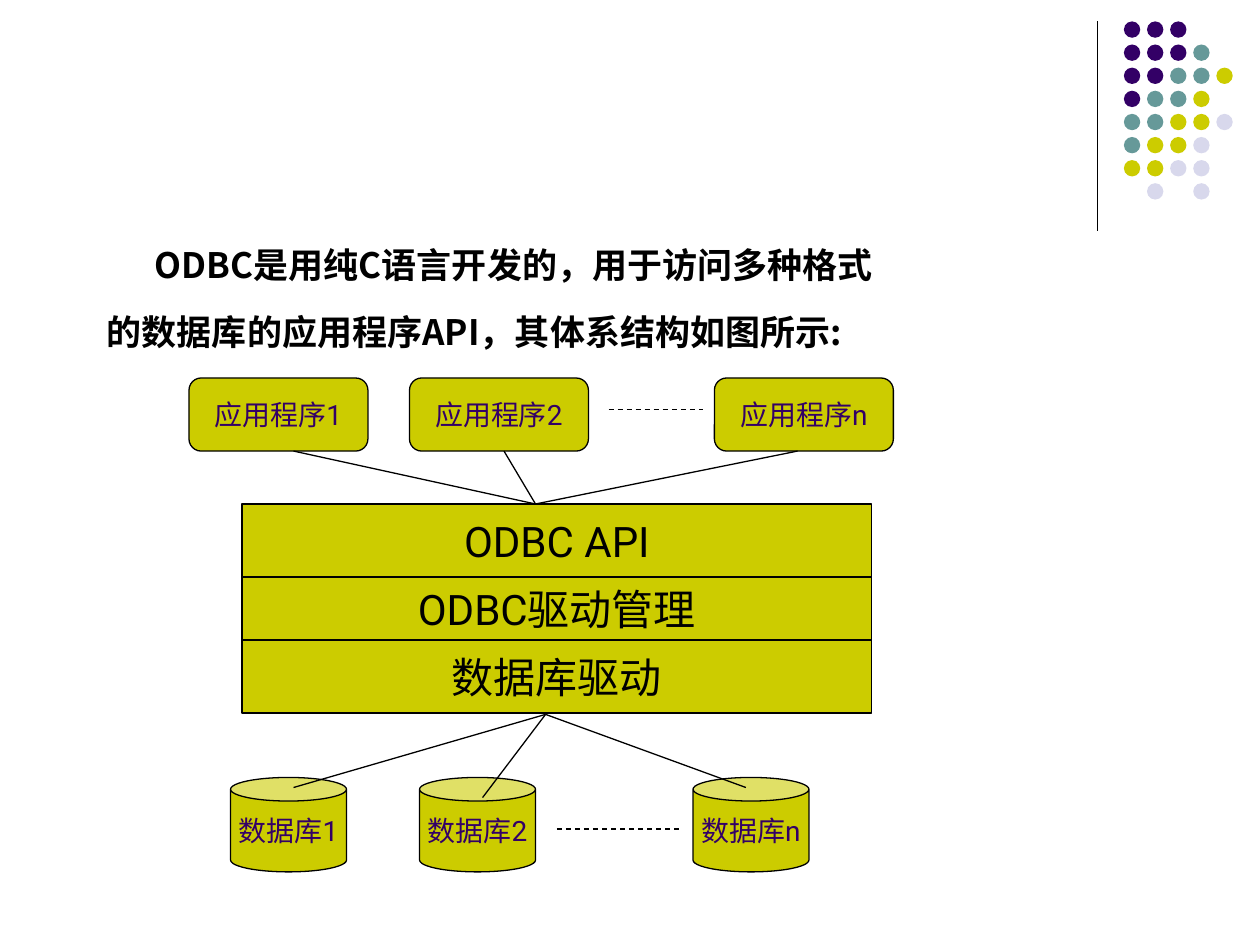
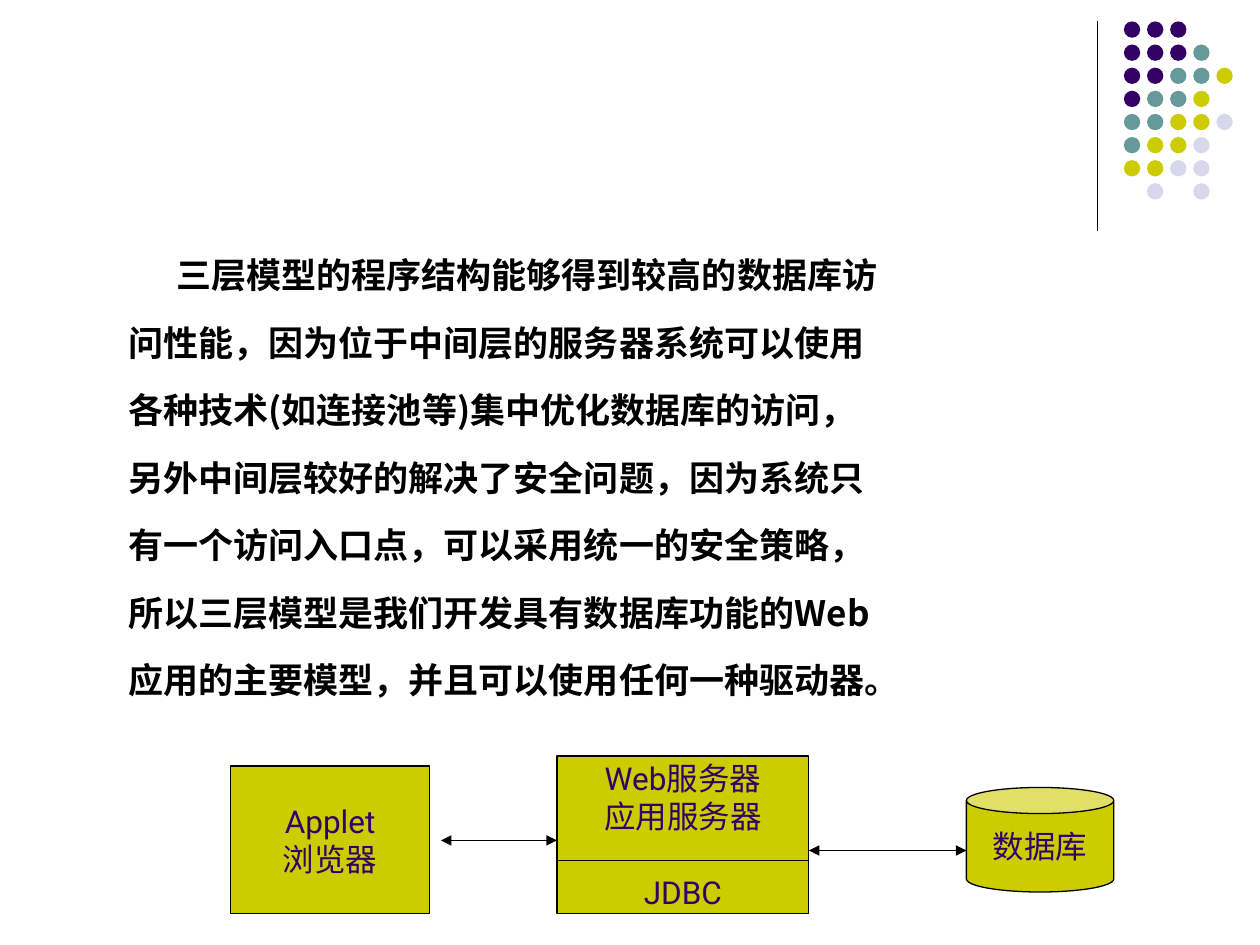
from lxml import etree
from pptx import Presentation
from pptx.dml.color import RGBColor
from pptx.enum.dml import MSO_LINE
from pptx.enum.shapes import MSO_CONNECTOR, MSO_SHAPE
from pptx.enum.text import MSO_ANCHOR, PP_ALIGN
from pptx.oxml.ns import qn
from pptx.util import Inches, Pt

CAN, RECT, ROUND = MSO_SHAPE.CAN, MSO_SHAPE.RECTANGLE, MSO_SHAPE.ROUNDED_RECTANGLE
DOT, STRAIGHT, DASH = MSO_SHAPE.OVAL, MSO_CONNECTOR.STRAIGHT, MSO_LINE.DASH
CENTER, JUSTIFY = PP_ALIGN.CENTER, PP_ALIGN.JUSTIFY
TOP, MIDDLE = MSO_ANCHOR.TOP, MSO_ANCHOR.MIDDLE

BLACK, PURPLE, TEAL, OLIVE, PALE = "000000", "330066", "669999", "CCCC00", "D8D8EC"
BODY_FONT, DIAGRAM_FONT = "Noto Sans CJK SC", "Roboto"
rgb = RGBColor.from_string


def write_text(frame, lines, size, color, font=DIAGRAM_FONT, bold=False, align=CENTER,
               anchor=MIDDLE, wrap=False, before=0, spacing=None):
    """Fill the frame with one paragraph per line."""
    frame.word_wrap = wrap
    frame.vertical_anchor = anchor
    for number, line in enumerate(lines):
        paragraph = frame.add_paragraph() if number else frame.paragraphs[0]
        paragraph.alignment = align
        paragraph.space_before = Pt(before)
        if spacing:
            paragraph.line_spacing = Pt(spacing)
        run = paragraph.add_run()
        run.text = line
        run.font.name = font
        run.font.size = Pt(size)
        run.font.bold = bold
        run.font.color.rgb = rgb(color)
        etree.SubElement(run.font._element, qn("a:ea"), typeface=font)


deck = Presentation()
deck.slide_width, deck.slide_height = Inches(10), Inches(7.5)
odbc_slide, three_tier_slide = [deck.slides.add_slide(deck.slide_layouts[6]) for _ in range(2)]

# Dot pattern in the top right corner: one letter per dot, one string per row
dot_colors = {"P": PURPLE, "T": TEAL, "O": OLIVE, "L": PALE}
dot_rows = ["PPP", "PPPT", "PPTTO", "PTTO", "TTOOL", "TOOL", "OOLL", ".L.L"]
dot_pitch, dot_size = 0.1835, 0.13
for slide in deck.slides:
    for row, letters in enumerate(dot_rows):
        for column, letter in enumerate(letters):
            if letter == ".":
                continue
            dot = slide.shapes.add_shape(
                DOT, Inches(8.92 + column * dot_pitch), Inches(0.17 + row * dot_pitch),
                Inches(dot_size), Inches(dot_size))
            dot.shadow.inherit = False
            dot.fill.solid()
            dot.fill.fore_color.rgb = rgb(dot_colors[letter])
            dot.line.fill.background()

# Body text
bodies = [
    (odbc_slide, 0.75, 1.75, 8.67, 4.83, [
        "ODBC是用纯C语言开发的，用于访问多种格式",
        "的数据库的应用程序API，其体系结构如图所示:"]),
    (three_tier_slide, 0.92, 1.83, 8.5, 5.33, [
        "三层模型的程序结构能够得到较高的数据库访",
        "问性能，因为位于中间层的服务器系统可以使用",
        "各种技术(如连接池等)集中优化数据库的访问，",
        "另外中间层较好的解决了安全问题，因为系统只",
        "有一个访问入口点，可以采用统一的安全策略，",
        "所以三层模型是我们开发具有数据库功能的Web",
        "应用的主要模型，并且可以使用任何一种驱动器。"]),
]
for slide, left, top, width, height, lines in bodies:
    body = slide.shapes.add_textbox(Inches(left), Inches(top), Inches(width), Inches(height))
    write_text(body.text_frame, lines, 20, BLACK, font=BODY_FONT, bold=True, align=JUSTIFY,
               anchor=TOP, wrap=True, before=5, spacing=33.6)
    first_line = body.text_frame.paragraphs[0]._p.get_or_add_pPr()
    first_line.set("indent", str(Inches(0.38)))

# Diagram boxes: slide, outline, left, top, width, height, lines, size, colour
boxes = [
    (odbc_slide, RECT, 1.92, 5.08, 5, 0.58, ["数据库驱动"], 24, BLACK),
    (odbc_slide, RECT, 1.92, 4.58, 5, 0.5, ["ODBC驱动管理"], 24, BLACK),
    (odbc_slide, RECT, 1.92, 4, 5, 0.58, ["ODBC API"], 24, BLACK),
    (three_tier_slide, RECT, 1.83, 6.08, 1.58, 1.17, ["Applet", "浏览器"], 18, PURPLE),
    (three_tier_slide, RECT, 4.42, 6, 2, 1.25, ["Web服务器", "应用服务器", "JDBC"], 18, PURPLE),
    (three_tier_slide, CAN, 7.67, 6.25, 1.17, 0.83, ["数据库"], 18, PURPLE),
]
for suffix, database_left, application_left in [("1", 1.83, 1.5), ("2", 3.33, 3.25),
                                                ("n", 5.5, 5.67)]:
    boxes += [
        (odbc_slide, CAN, database_left, 6.17, 0.92, 0.75, ["数据库" + suffix], 16, PURPLE),
        (odbc_slide, ROUND, application_left, 3, 1.42, 0.58, ["应用程序" + suffix], 16, PURPLE),
    ]
for slide, outline, left, top, width, height, lines, size, color in boxes:
    box = slide.shapes.add_shape(outline, Inches(left), Inches(top), Inches(width), Inches(height))
    box.shadow.inherit = False
    box.fill.solid()
    box.fill.fore_color.rgb = rgb(OLIVE)
    box.line.color.rgb = rgb(BLACK)
    box.line.width = Pt(0.75)
    write_text(box.text_frame, lines, size, color)
    if lines[-1] == "JDBC":
        box.text_frame.paragraphs[-1].space_before = Pt(22)

# Lines: slide, start, end, dashed, arrowheads at both ends
links = [(slide, (8.71, 0.17), (8.71, 1.83), False, False) for slide in deck.slides]
links += [(odbc_slide, (4.33, 5.67), database, False, False)
          for database in [(2.33, 6.25), (3.83, 6.33), (5.92, 6.25)]]
links += [(odbc_slide, (application_x, 3.58), (4.25, 4), False, False)
          for application_x in (2.33, 4, 6.33)]
links += [
    (odbc_slide, (4.42, 6.58), (5.42, 6.58), True, False),
    (odbc_slide, (4.83, 3.25), (5.58, 3.25), True, False),
    (three_tier_slide, (4.42, 6.83), (6.42, 6.83), False, False),
    (three_tier_slide, (3.5, 6.67), (4.42, 6.67), False, True),
    (three_tier_slide, (6.42, 6.75), (7.67, 6.75), False, True),
]
for slide, start, end, dashed, arrows in links:
    link = slide.shapes.add_connector(STRAIGHT, *[Inches(value) for value in start + end])
    link.line.color.rgb = rgb(BLACK)
    link.line.width = Pt(0.75)
    if dashed:
        link.line.dash_style = DASH
    properties = link._element.spPr
    if arrows:
        for tip in ("a:headEnd", "a:tailEnd"):
            etree.SubElement(properties.find(qn("a:ln")), qn(tip), type="triangle")
    etree.SubElement(properties, qn("a:effectLst"))

deck.save("out.pptx")
